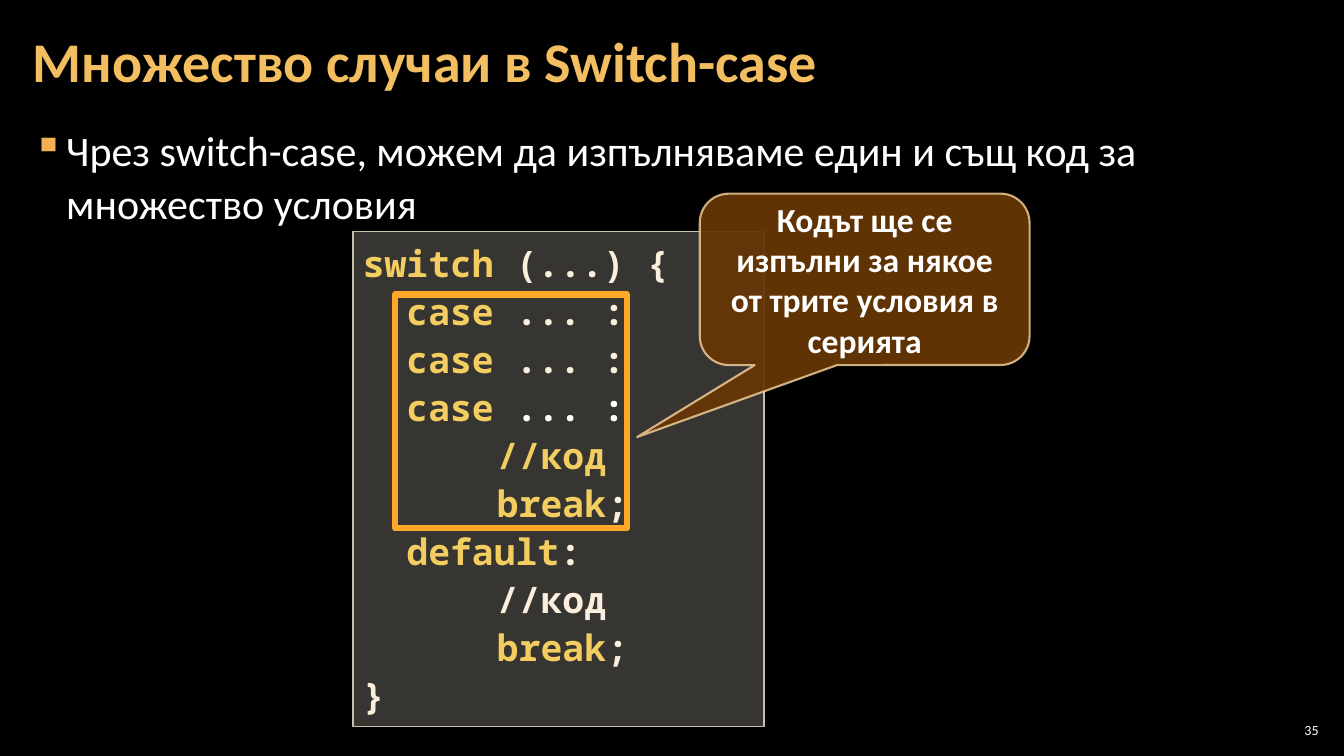
from dataclasses import dataclass

from lxml import etree
from pptx import Presentation
from pptx import util as u
from pptx.dml.color import RGBColor
from pptx.enum import shapes, text
from pptx.oxml import ns


@dataclass(frozen=True)
class Theme:
    sans: str = "Calibri"
    mono: str = "Noto Sans Mono"
    back: str = "000000"
    white: str = "FFFFFF"
    title: str = "F3BE60"
    bullet: str = "F2B254"
    key: str = "F3CD60"
    plain: str = "FBEEDC"
    panel: str = "D9D5C7"
    edge: str = "C7BFAC"
    frame: str = "FFA72A"
    note: str = "663606"
    rim: str = "F8D49E"
    title_pt: int = 40
    body_pt: int = 30
    code_pt: int = 26
    note_pt: int = 24
    page_pt: int = 10


T = Theme()
STEP, DEEP = 1.1, 3.38  # code indents in cm
CASE = (STEP, [("case ", T.key), ("... :", T.plain)])
BREAK = (DEEP, [("break", T.key), (";", T.plain)])
CODE = [
    (0, [("switch", T.key), (" (...) {", T.plain)]),
    CASE,
    CASE,
    (STEP, [("case ", T.key), ("... :", T.white)]),
    (DEEP, [("//код", T.key)]),
    BREAK,
    (STEP, [("default", T.key), (":", T.plain)]),
    (DEEP, [("//код", T.plain)]),
    BREAK,
    (0, [("}", T.plain)]),
]


def rgb(tone):
    return RGBColor.from_string(tone)


def child(node, tag, **attrs):
    return etree.SubElement(node, ns.qn(tag), attrs)


def fade(fill, pct):
    """Make a solid fill pct per cent opaque."""
    tone = fill._xPr.find(ns.qn("a:solidFill"))[0]
    child(tone, "a:alpha", val=str(pct * 1000))


def add_run(para, words, tone, size, font=T.sans, bold=False):
    run = para.add_run()
    run.text = words
    run.font.name, run.font.size, run.font.bold = font, u.Pt(size), bold
    run.font.color.rgb = rgb(tone)


def add_box(slide, box, anchor, side, edge):
    """Add a wrapping text box and return its text frame."""
    frame = slide.shapes.add_textbox(*map(u.Cm, box)).text_frame
    frame.word_wrap = True
    frame.vertical_anchor = anchor
    frame.margin_left = frame.margin_right = u.Cm(side)
    frame.margin_top = frame.margin_bottom = u.Cm(edge)
    return frame


def add_form(slide, kind, box, line, width, fill=None, pct=100):
    form = slide.shapes.add_shape(kind, *map(u.Cm, box))
    form.shadow.inherit = False
    form.line.color.rgb = rgb(line)
    form.line.width = u.Pt(width)
    if fill:
        form.fill.solid()
        form.fill.fore_color.rgb = rgb(fill)
        fade(form.fill, pct)
    else:
        form.fill.background()
    return form


def add_title(slide, box, words):
    para = add_box(slide, box, text.MSO_ANCHOR.MIDDLE, 0.3, 0.1).paragraphs[0]
    para.line_spacing = 0.9
    add_run(para, words, T.title, T.title_pt, bold=True)


def add_body(slide, box, words):
    para = add_box(slide, box, text.MSO_ANCHOR.TOP, 0.3, 0.1).paragraphs[0]
    para.line_spacing = 1.05
    para.space_before = para.space_after = u.Pt(6)
    props = para._p.get_or_add_pPr()
    props.set("marL", str(u.Cm(0.84)))
    props.set("indent", str(-u.Cm(0.84)))
    child(child(props, "a:buClr"), "a:srgbClr", val=T.bullet)
    child(props, "a:buChar", char="▪")
    add_run(para, words, T.white, T.body_pt)


def add_page(slide, box, words):
    para = add_box(slide, box, text.MSO_ANCHOR.MIDDLE, 0.1, 0.1).paragraphs[0]
    para.alignment = text.PP_ALIGN.RIGHT
    add_run(para, words, T.white, T.page_pt)


def add_code(slide, box):
    """Place the code panel and the frame around its shared cases."""
    left, top = box[:2]
    kind = shapes.MSO_SHAPE.RECTANGLE
    frame = add_form(slide, kind, box, T.edge, 1, T.panel, 25).text_frame
    frame.vertical_anchor = text.MSO_ANCHOR.TOP
    for row, (inset, parts) in enumerate(CODE):
        para = frame.add_paragraph() if row else frame.paragraphs[0]
        para.alignment = text.PP_ALIGN.LEFT
        para.line_spacing = 1.1
        para._p.get_or_add_pPr().set("marL", str(u.Cm(inset)))
        for words, tone in parts:
            add_run(para, words, tone, T.code_pt, T.mono, True)
    add_form(slide, kind, (left + 1.07, top + 1.58, 5.84, 5.89), T.frame, 4.5)


def add_note(slide, box, words):
    kind = shapes.MSO_SHAPE.ROUNDED_RECTANGULAR_CALLOUT
    form = add_form(slide, kind, box, T.rim, 1.5, T.note, 95)
    fade(form.line.fill, 80)
    for pos, val in enumerate((-0.69, 0.92, 0.17)):
        form.adjustments[pos] = val
    frame = form.text_frame
    frame.word_wrap = True
    frame.vertical_anchor = text.MSO_ANCHOR.MIDDLE
    para = frame.paragraphs[0]
    para.alignment = text.PP_ALIGN.CENTER
    add_run(para, words, T.white, T.note_pt, bold=True)


def main():
    deck = Presentation()
    deck.slide_width, deck.slide_height = u.Cm(33.86), u.Cm(19.05)
    slide = deck.slides.add_slide(deck.slide_layouts[6])
    slide.background.fill.solid()
    slide.background.fill.fore_color.rgb = rgb(T.back)
    add_page(slide, (32.13, 18.14, 1.19, 0.53), "35")
    add_body(slide, (0.53, 2.97, 32.79, 15.47),
             "Чрез switch-case, можем да изпълняваме един и същ код за множество условия")
    add_title(slide, (0.53, 0.1, 26.59, 3.07), "Множество случаи в Switch-case")
    add_code(slide, (8.89, 5.84, 10.36, 12.47))
    add_note(slide, (17.63, 4.88, 8.31, 4.32),
             "Кодът ще се изпълни за някое от трите условия в серията")
    deck.save("out.pptx")


if __name__ == "__main__":
    main()
